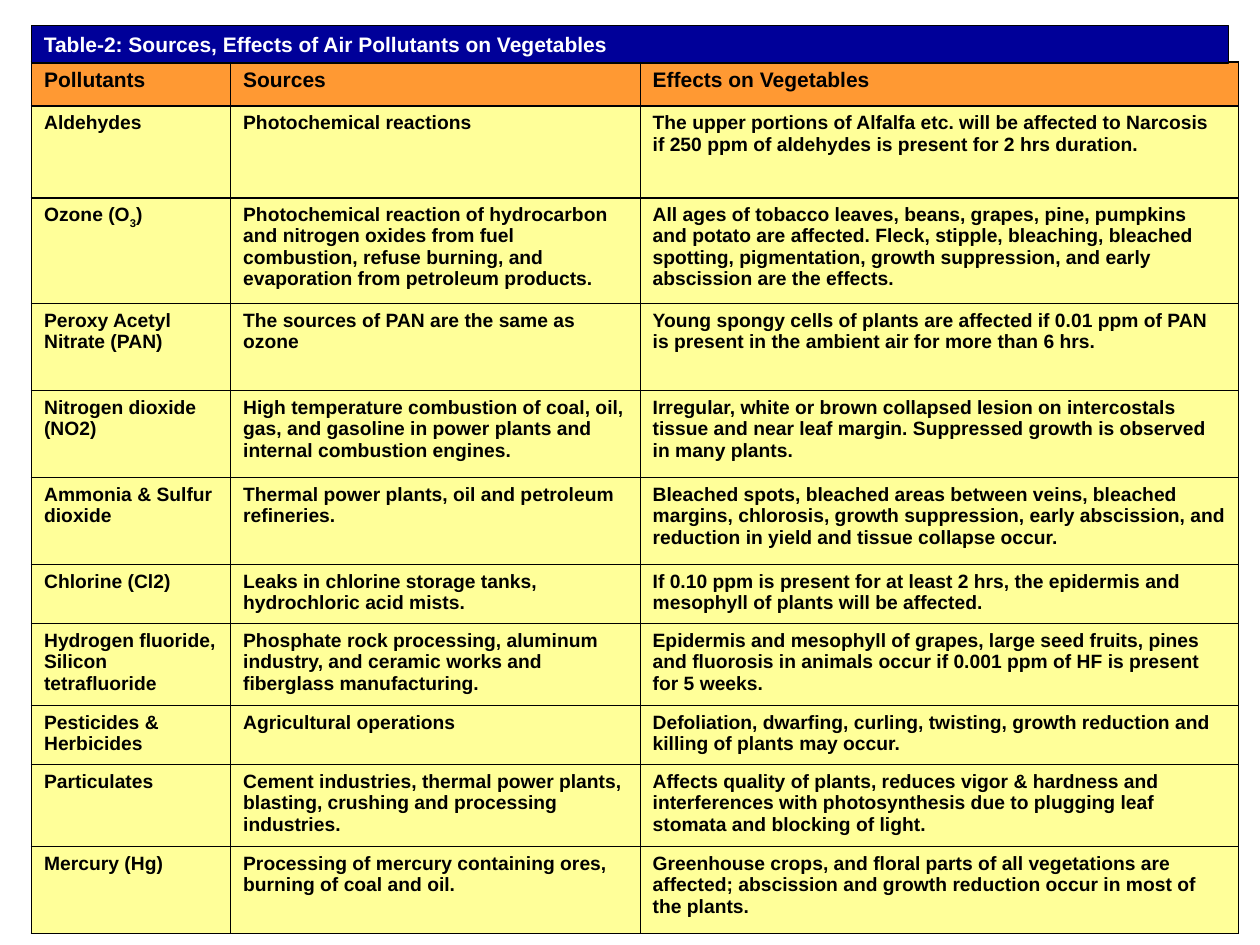
from lxml.etree import SubElement
from pptx import Presentation
from pptx.dml.color import RGBColor
from pptx.enum.shapes import MSO_SHAPE
from pptx.enum.text import MSO_ANCHOR, PP_ALIGN
from pptx.oxml.ns import qn
from pptx.util import Inches, Pt

NAVY = RGBColor(0x00, 0x00, 0x99)
ORANGE = RGBColor(0xFF, 0x99, 0x33)
YELLOW = RGBColor(0xFF, 0xFF, 0x99)
BLACK = RGBColor(0x00, 0x00, 0x00)
WHITE = RGBColor(0xFF, 0xFF, 0xFF)

LEFT = 0.25
TABLE_TOP = 0.49
THIN, THICK = 0.45, 1.08
COLUMN_WIDTHS = [1.58, 3.25, 4.75]
ROWS = [
    (0.35, "Pollutants", "Sources", "Effects on Vegetables"),
    (0.73, "Aldehydes", "Photochemical reactions",
     "The upper portions of Alfalfa etc. will be affected to Narcosis if 250 ppm of aldehydes is present for 2 hrs duration."),
    (0.84, "Ozone (O3)",
     "Photochemical reaction of hydrocarbon and nitrogen oxides from fuel combustion, refuse burning, and evaporation from petroleum products.",
     "All ages of tobacco leaves, beans, grapes, pine, pumpkins and potato are affected. Fleck, stipple, bleaching, bleached spotting, pigmentation, growth suppression, and early abscission are the effects."),
    (0.69, "Peroxy Acetyl Nitrate (PAN)", "The sources of PAN are the same as ozone",
     "Young spongy cells of plants are affected if 0.01 ppm of PAN is present in the ambient air for more than 6 hrs."),
    (0.69, "Nitrogen dioxide (NO2)",
     "High temperature combustion of coal, oil, gas, and gasoline in power plants and internal combustion engines.",
     "Irregular, white or brown collapsed lesion on intercostals tissue and near leaf margin. Suppressed growth is observed in many plants."),
    (0.69, "Ammonia & Sulfur dioxide", "Thermal power plants, oil and petroleum refineries.",
     "Bleached spots, bleached areas between veins, bleached margins, chlorosis, growth suppression, early abscission, and reduction in yield and tissue collapse occur."),
    (0.47, "Chlorine (Cl2)", "Leaks in chlorine storage tanks, hydrochloric acid mists.",
     "If 0.10 ppm is present for at least 2 hrs, the epidermis and mesophyll of plants will be affected."),
    (0.65, "Hydrogen fluoride, Silicon tetrafluoride",
     "Phosphate rock processing, aluminum industry, and ceramic works and fiberglass manufacturing.",
     "Epidermis and mesophyll of grapes, large seed fruits, pines and fluorosis in animals occur if 0.001 ppm of HF is present for 5 weeks."),
    (0.47, "Pesticides & Herbicides", "Agricultural operations",
     "Defoliation, dwarfing, curling, twisting, growth reduction and killing of plants may occur."),
    (0.65, "Particulates",
     "Cement industries, thermal power plants, blasting, crushing and processing industries.",
     "Affects quality of plants, reduces vigor & hardness and interferences with photosynthesis due to plugging leaf stomata and blocking of light."),
    (0.69, "Mercury (Hg)", "Processing of mercury containing ores, burning of coal and oil.",
     "Greenhouse crops, and floral parts of all vegetations are affected; abscission and growth reduction occur in most of the plants."),
]


def write(para, pieces, size, color, space_before):
    para.space_before = Pt(space_before)
    for piece in pieces:
        span = para.add_run()
        span.text = piece
        span.font.name = "Arial"
        span.font.size = Pt(size)
        span.font.bold = True
        span.font.color.rgb = color


def add_borders(cell, widths):
    properties = cell._tc.get_or_add_tcPr()
    for side, width in widths.items():
        line = SubElement(properties, qn(f"a:ln{side}"), w=str(Pt(width)))
        color = SubElement(SubElement(line, qn("a:solidFill")), qn("a:srgbClr"))
        color.set("val", str(BLACK))


deck = Presentation()
deck.slide_width = Inches(10)
deck.slide_height = Inches(7.5)
page = deck.slides.add_slide(deck.slide_layouts[6])

table_frame = page.shapes.add_table(
    len(ROWS), len(COLUMN_WIDTHS), Inches(LEFT), Inches(TABLE_TOP),
    Inches(sum(COLUMN_WIDTHS)), Inches(sum(row[0] for row in ROWS)))
table = table_frame.table
table.first_row = False
table.horz_banding = False
for column, width in zip(table.columns, COLUMN_WIDTHS):
    column.width = Inches(width)

for row_index, (height, *texts) in enumerate(ROWS):
    table.rows[row_index].height = Inches(height)
    header = row_index == 0
    for column_index, text in enumerate(texts):
        cell = table.cell(row_index, column_index)
        add_borders(cell, {
            "L": THICK if column_index == 0 else THIN,
            "R": THICK if column_index == len(texts) - 1 else THIN,
            "T": THICK,
            "B": THICK,
        })
        cell.fill.solid()
        cell.fill.fore_color.rgb = ORANGE if header else YELLOW
        ozone = text == "Ozone (O3)"
        pieces = ["Ozone (O", "3", ")"] if ozone else [text]
        para = cell.text_frame.paragraphs[0]
        write(para, pieces, 12 if header else 11, BLACK, 3 if header else 2.8)
        if ozone:
            para.runs[1]._r.get_or_add_rPr().set("baseline", "-30000")

title_box = page.shapes.add_shape(
    MSO_SHAPE.RECTANGLE, Inches(LEFT), Inches(0.2), Inches(9.5), Inches(0.3))
title_box.shadow.inherit = False
title_box.fill.solid()
title_box.fill.fore_color.rgb = NAVY
title_box.line.color.rgb = BLACK
title_box.line.width = Pt(0.75)
title_box.text_frame.word_wrap = True
title_box.text_frame.vertical_anchor = MSO_ANCHOR.TOP
title_para = title_box.text_frame.paragraphs[0]
title_para.alignment = PP_ALIGN.LEFT
write(title_para, ["Table-2: Sources, Effects of Air Pollutants on Vegetables"], 12, WHITE, 7.5)

deck.save("out.pptx")
